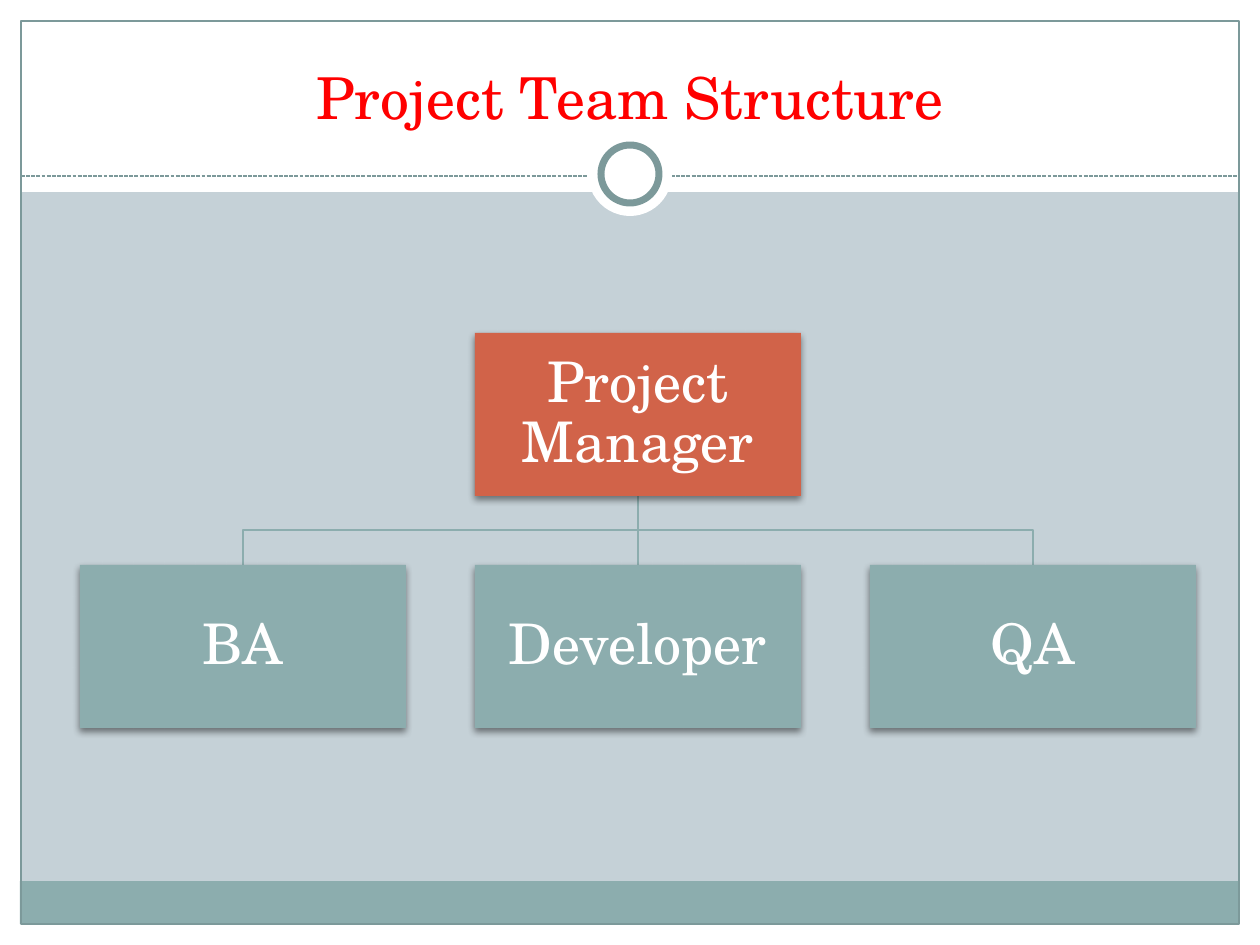
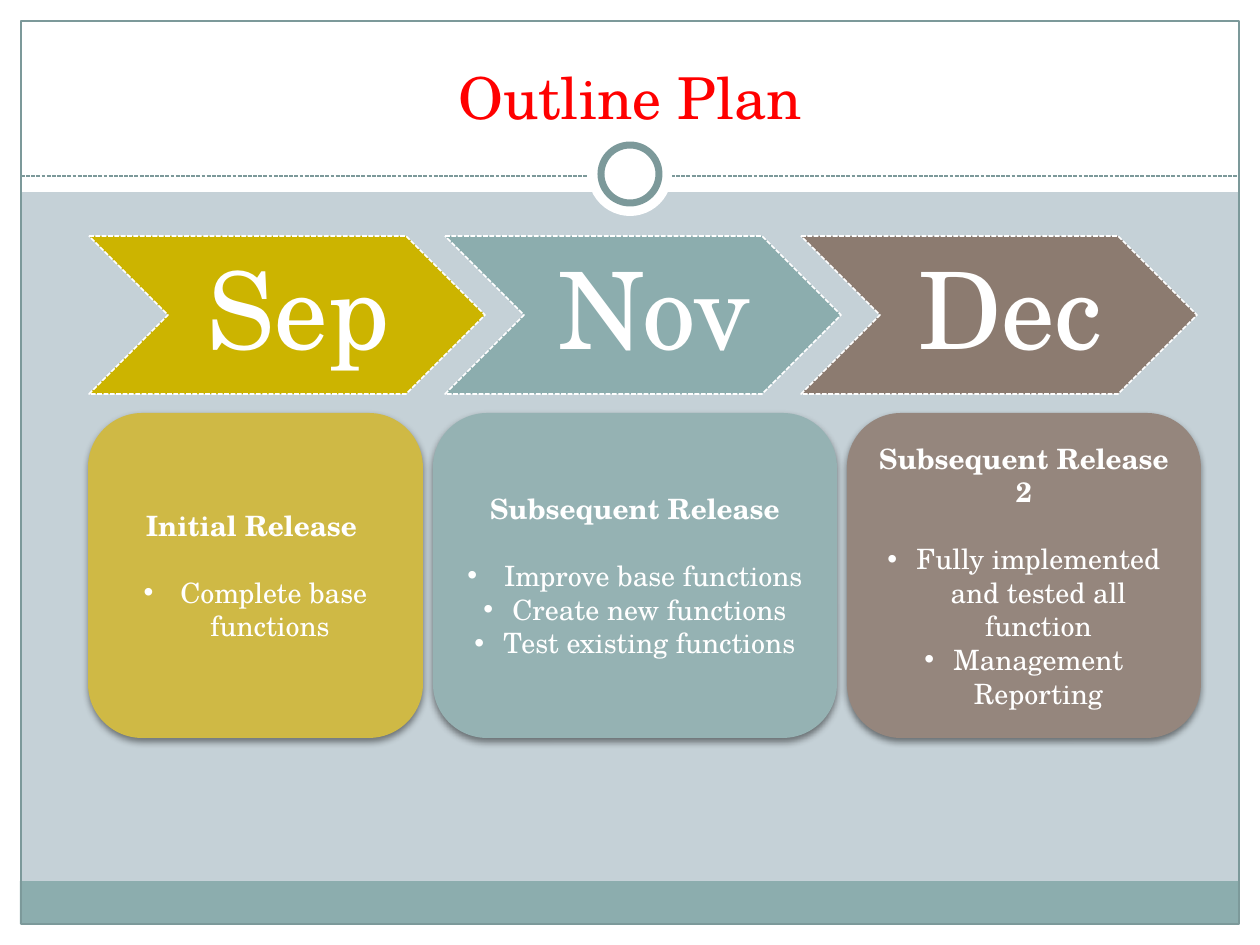
"""Build two project slides: the team structure and the outline plan."""
from lxml import etree
from pptx import Presentation
from pptx import util as u
from pptx.dml.color import RGBColor
from pptx.enum import dml, shapes, text
from pptx.oxml import ns

SCALE = 914400 / 126
FONT = "TeX Gyre Schola"
WHITE, RED, TEAL, DARK_TEAL = "FFFFFF", "FF0000", "8CADAE", "7C999A"
MIST, ORANGE, GOLD, BROWN = "C5D1D7", "D16349", "CCB400", "8C7B70"
PALE_GOLD, PALE_TEAL, PALE_BROWN = "CFB945", "95B2B3", "95867D"
KIND = shapes.MSO_SHAPE
ANCHOR = text.MSO_ANCHOR


def px(length):
    return u.Emu(round(length * SCALE))


def colour(value):
    return RGBColor.from_string(value)


def write(frame, content, size, color=WHITE, bold=False, spacing=None,
          after=None, bullet=False, more=False):
    para = frame.add_paragraph() if more else frame.paragraphs[0]
    para.alignment = text.PP_ALIGN.CENTER
    if spacing:
        para.line_spacing = spacing
    if after:
        para.space_after = u.Pt(after)
    if bullet:
        props = para._p.get_or_add_pPr()
        props.set("marL", str(px(29)))
        props.set("indent", str(-px(29)))
        etree.SubElement(props, ns.qn("a:buFont"), typeface="Arial")
        etree.SubElement(props, ns.qn("a:buChar"), char="•")
    span = para.add_run()
    span.text = content
    span.font.name = FONT
    span.font.size = u.Pt(size)
    span.font.bold = bold
    span.font.color.rgb = colour(color)


class Board:
    """Hold the deck style and draw elements on the current slide."""

    def __init__(self):
        self.deck = Presentation()
        self.deck.slide_width, self.deck.slide_height = px(1260), px(945)
        self.page = None

    def shape(self, kind, left, top, width, height, fill=None, line=None,
              weight=0.75, dashed=False, shadow=False):
        box = self.page.shapes.add_shape(
            kind, px(left), px(top), px(width), px(height))
        self.finish(box, fill, line, weight, dashed)
        if shadow:
            effects = box.element.spPr.find(ns.qn("a:effectLst"))
            outer = etree.SubElement(
                effects, ns.qn("a:outerShdw"), blurRad=str(u.Pt(4)),
                dist=str(u.Pt(2)), dir="5400000", algn="ctr", rotWithShape="0")
            black = etree.SubElement(outer, ns.qn("a:srgbClr"), val="000000")
            etree.SubElement(black, ns.qn("a:alpha"), val="45000")
        return box

    def finish(self, box, fill, line, weight, dashed=False):
        box.shadow.inherit = False
        if fill:
            box.fill.solid()
            box.fill.fore_color.rgb = colour(fill)
        else:
            box.fill.background()
        if line:
            self.stroke(box.line, line, weight, dashed)
        else:
            box.line.fill.background()

    def stroke(self, line, color, weight, dashed):
        line.color.rgb = colour(color)
        line.width = u.Pt(weight)
        if dashed:
            line.dash_style = dml.MSO_LINE.SQUARE_DOT

    def frame(self, box, anchor=ANCHOR.MIDDLE, insets=None):
        frame = box.text_frame
        frame.word_wrap = True
        frame.vertical_anchor = anchor
        if insets:
            (frame.margin_left, frame.margin_top, frame.margin_right,
             frame.margin_bottom) = map(px, insets)
        return frame

    def connector(self, start, end, color, dashed=False):
        link = self.page.shapes.add_connector(
            shapes.MSO_CONNECTOR.STRAIGHT, *map(px, start + end))
        self.stroke(link.line, color, 0.75, dashed)
        etree.SubElement(link.element.spPr, ns.qn("a:effectLst"))
        return link

    def polyline(self, points, color):
        builder = self.page.shapes.build_freeform(*points[0], scale=SCALE)
        builder.add_line_segments(points[1:], close=False)
        self.finish(builder.convert_to_shape(), None, color, 0.75)

    def title(self, content):
        box = self.page.shapes.add_textbox(px(42), px(32), px(1176), px(105))
        write(self.frame(box, ANCHOR.BOTTOM), content, 33, color=RED)

    def new_page(self, title):
        self.page = self.deck.slides.add_slide(self.deck.slide_layouts[6])
        backdrop = self.page.background.fill
        backdrop.solid()
        backdrop.fore_color.rgb = colour(MIST)
        margins = [(0, 924, 1260, 21), (0, 0, 1260, 192),
                   (0, 0, 21, 945), (1239, 0, 21, 945)]
        for margin in margins:
            self.shape(KIND.RECTANGLE, *margin, fill=WHITE)
        self.shape(KIND.RECTANGLE, 20, 881, 1218, 43, fill=TEAL)
        self.shape(KIND.RECTANGLE, 21, 21, 1218, 903, line=DARK_TEAL)
        self.connector((21, 176), (1239, 176), DARK_TEAL, dashed=True)
        self.shape(KIND.OVAL, 588, 132, 84, 84, fill=WHITE)
        self.shape(KIND.OVAL, 601, 145, 58, 58, fill=WHITE,
                   line=DARK_TEAL, weight=4)
        self.title(title)

    def role(self, name, left, top, width, height, fill):
        box = self.shape(KIND.RECTANGLE, left, top, width, height,
                         fill=fill, shadow=True)
        write(self.frame(box, insets=(3, 3, 3, 3)), name, 32, spacing=0.9)
        return box

    def month(self, name, left, fill):
        box = self.shape(KIND.CHEVRON, left, 236, 396, 158, fill=fill,
                         line=WHITE, weight=0.9, dashed=True)
        write(self.frame(box, insets=(33, 11, 10, 11)), name, 61, spacing=0.9)

    def release(self, heading, goals, left, width, fill):
        box = self.shape(KIND.ROUNDED_RECTANGLE, left, 413, width, 325,
                         fill=fill, shadow=True)
        frame = self.frame(box)
        write(frame, heading, 16, bold=True, after=19)
        for goal in goals:
            write(frame, goal, 16, bullet=True, more=True)


def team_structure(board):
    board.new_page("Project Team Structure")
    width, height, manager_top, team_top = 326, 163, 333, 565
    lefts = [80 + 395 * column for column in range(3)]
    centers = [left + width // 2 for left in lefts]
    manager_bottom = manager_top + height
    middle = (manager_bottom + team_top) // 2
    for center in (centers[2], centers[0]):
        board.polyline([(centers[1], manager_bottom), (centers[1], middle),
                        (center, middle), (center, team_top)], TEAL)
    link = board.connector((centers[1], manager_bottom),
                           (centers[1], team_top), TEAL)
    manager = board.role("Project Manager", lefts[1], manager_top,
                         width, height, ORANGE)
    team = [board.role(name, left, team_top, width, height, TEAL)
            for name, left in zip(("BA", "Developer", "QA"), lefts)]
    link.begin_connect(manager, 2)
    link.end_connect(team[1], 0)


def outline_plan(board):
    board.new_page("Outline Plan")
    months = [("Sep", GOLD), ("Nov", TEAL), ("Dec", BROWN)]
    for column, (name, fill) in enumerate(months):
        board.month(name, 89 + 356 * column, fill)
    releases = [
        ("Initial Release ", [" Complete base functions"], 335, PALE_GOLD),
        ("Subsequent Release",
         [" Improve base functions", "Create new functions",
          "Test existing functions"], 404, PALE_TEAL),
        ("Subsequent Release 2",
         ["Fully implemented and tested all function",
          "Management Reporting"], 354, PALE_BROWN),
    ]
    left = 88
    for heading, goals, width, fill in releases:
        board.release(heading, goals, left, width, fill)
        left += width + 10


def main():
    board = Board()
    team_structure(board)
    outline_plan(board)
    board.deck.save("out.pptx")


if __name__ == "__main__":
    main()
